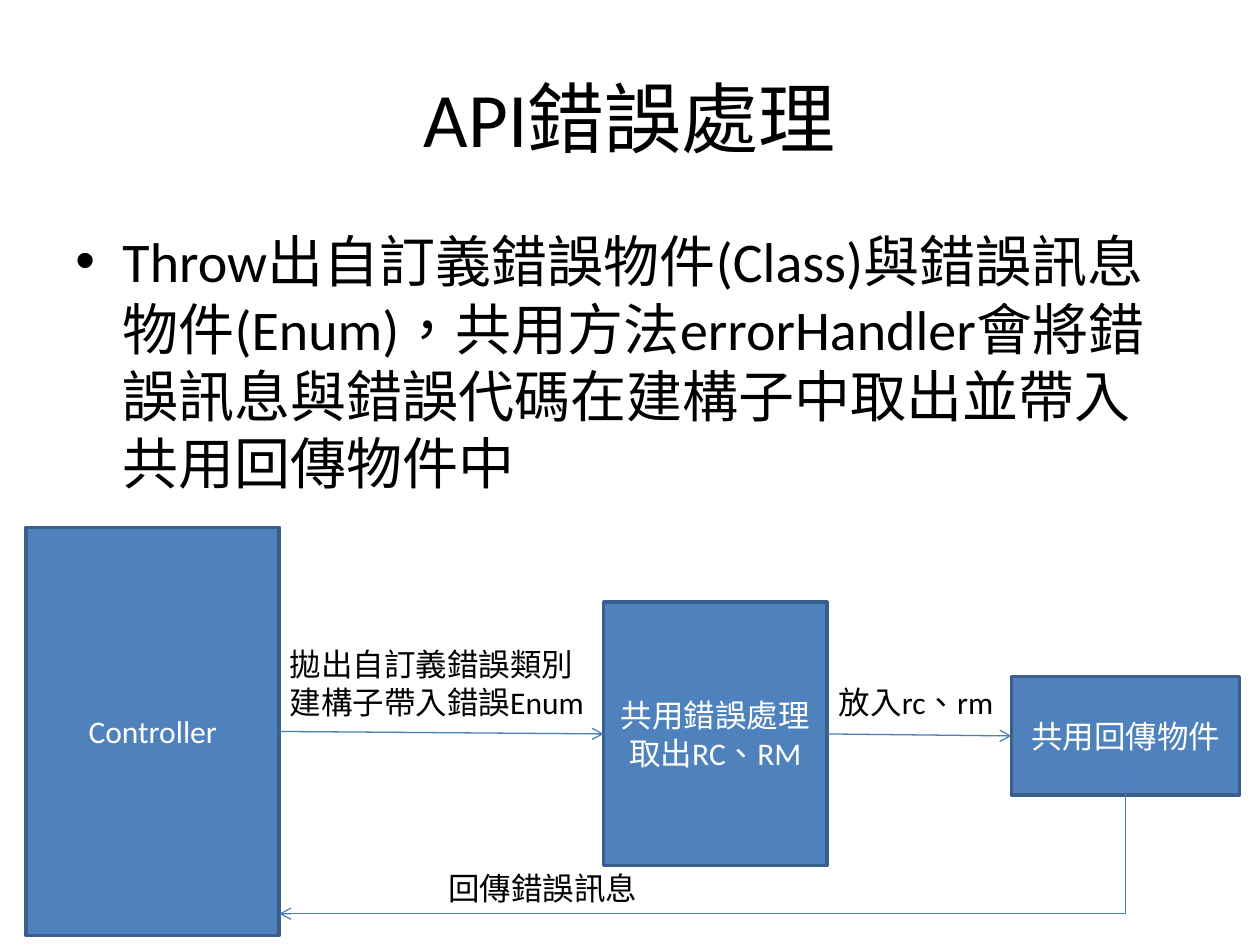
from lxml import etree
from pptx import Presentation
from pptx import util as u
from pptx.dml import color
from pptx.enum import lang, shapes, text
from pptx.oxml import ns

FONT = "Calibri"
BLACK, WHITE = "000000", "FFFFFF"
BOX_FILL, BOX_EDGE, ARROW = "4F81BD", "3A5F8C", "4B7EBC"


def rgb(value):
    return color.RGBColor.from_string(value)


def add_node(parent, tag, **values):
    node = etree.SubElement(parent, ns.qn(tag))
    for name, value in values.items():
        node.set(name, str(value))
    return node


def write(shape, lines, size=18, ink=BLACK, align=text.PP_ALIGN.LEFT,
          anchor=text.MSO_ANCHOR.TOP):
    frame = shape.text_frame
    frame.word_wrap = True
    frame.vertical_anchor = anchor
    formats = {"size": u.Pt(size), "name": FONT,
               "language_id": lang.MSO_LANGUAGE_ID.TAIWAN
               if hasattr(lang.MSO_LANGUAGE_ID, "TAIWAN")
               else lang.MSO_LANGUAGE_ID.TRADITIONAL_CHINESE}
    for index, line in enumerate(lines):
        para = frame.paragraphs[0] if index == 0 else frame.add_paragraph()
        para.alignment = align
        span = para.add_run()
        span.text = line
        for name, value in formats.items():
            setattr(span.font, name, value)
        span.font.color.rgb = rgb(ink)
    return frame


def add_text(page, place, lines, **style):
    box = page.shapes.add_textbox(*map(u.Cm, place))
    return write(box, lines, **style)


def add_box(page, place, label):
    box = page.shapes.add_shape(shapes.MSO_SHAPE.RECTANGLE, *map(u.Cm, place))
    box.shadow.inherit = False
    box.fill.solid()
    box.fill.fore_color.rgb = rgb(BOX_FILL)
    box.line.color.rgb = rgb(BOX_EDGE)
    box.line.width = u.Pt(2)
    write(box, [label], ink=WHITE, align=text.PP_ALIGN.CENTER,
          anchor=text.MSO_ANCHOR.MIDDLE)


def add_arrow(page, start, end, kind=shapes.MSO_CONNECTOR.STRAIGHT):
    arrow = page.shapes.add_connector(kind, *map(u.Cm, start + end))
    arrow.line.color.rgb = rgb(ARROW)
    arrow.line.width = u.Pt(0.75)
    add_node(arrow.line._get_or_add_ln(), "a:tailEnd", type="arrow")
    add_node(arrow._element.spPr, "a:effectLst")
    return arrow


def add_return_arrow(page, start, end):
    """Down from start, then left to end: a one-bend connector turned by 90°."""
    drop, run = end[1] - start[1], start[0] - end[0]
    middle_x, middle_y = (start[0] + end[0]) / 2, (start[1] + end[1]) / 2
    left, top = middle_x - drop / 2, middle_y - run / 2
    arrow = add_arrow(page, (left, top), (left + drop, top + run),
                      shapes.MSO_CONNECTOR.ELBOW)
    properties = arrow._element.spPr
    properties.find(ns.qn("a:xfrm")).set("rot", "5400000")
    properties.find(ns.qn("a:prstGeom")).set("prst", "bentConnector2")


def add_bullet(para, indent):
    para.space_before = u.Pt(6.4)
    properties = para._p.get_or_add_pPr()
    properties.set("marL", str(u.Cm(indent)))
    properties.set("indent", str(-u.Cm(indent)))
    add_node(properties, "a:buFont", typeface="Arial")
    add_node(properties, "a:buChar", char="•")


def right_middle(place):
    left, top, width, height = place
    return left + width, top + height / 2


def left_middle(place):
    left, top, _, height = place
    return left, top + height / 2


def main():
    deck = Presentation()
    deck.slide_width, deck.slide_height = u.Cm(25.4), u.Cm(19.05)
    page = deck.slides.add_slide(deck.slide_layouts[6])

    # Title and bullet
    add_text(page, (1.27, 0.76, 22.86, 3.18), ["API錯誤處理"], size=44,
             align=text.PP_ALIGN.CENTER, anchor=text.MSO_ANCHOR.MIDDLE)
    body = add_text(page, (1.27, 4.45, 22.7, 12.57), [
        "Throw出自訂義錯誤物件(Class)與錯誤訊息物件(Enum)\uff0c共用方法errorHandler"
        "會將錯誤訊息與錯誤代碼在建構子中取出並帶入共用回傳物件中"
    ], size=32)
    add_bullet(body.paragraphs[0], 0.95)

    # Flow boxes
    controller = (0.53, 10.63, 5.1, 8.23)
    handler = (12.17, 12.14, 4.5, 5.31)
    response = (20.39, 13.64, 4.6, 2.39)
    for place, label in ((controller, "Controller"),
                         (handler, "共用錯誤處理取出RC、RM"),
                         (response, "共用回傳物件")):
        add_box(page, place, label)

    # Arrows between the boxes
    for source, target in ((controller, handler), (handler, response)):
        add_arrow(page, right_middle(source), left_middle(target))
    add_return_arrow(page, (22.69, 15.49), (right_middle(controller)[0], 18.42))

    # Arrow labels
    for place, lines in (
        ((5.59, 12.88, 6.5, 1.8), ["拋出自訂義錯誤類別", "建構子帶入錯誤Enum"]),
        ((16.66, 13.64, 3.66, 1.02), ["放入rc、rm"]),
        ((8.79, 17.4, 4.37, 1.02), ["回傳錯誤訊息"]),
    ):
        add_text(page, place, lines)

    deck.save("out.pptx")


main()
